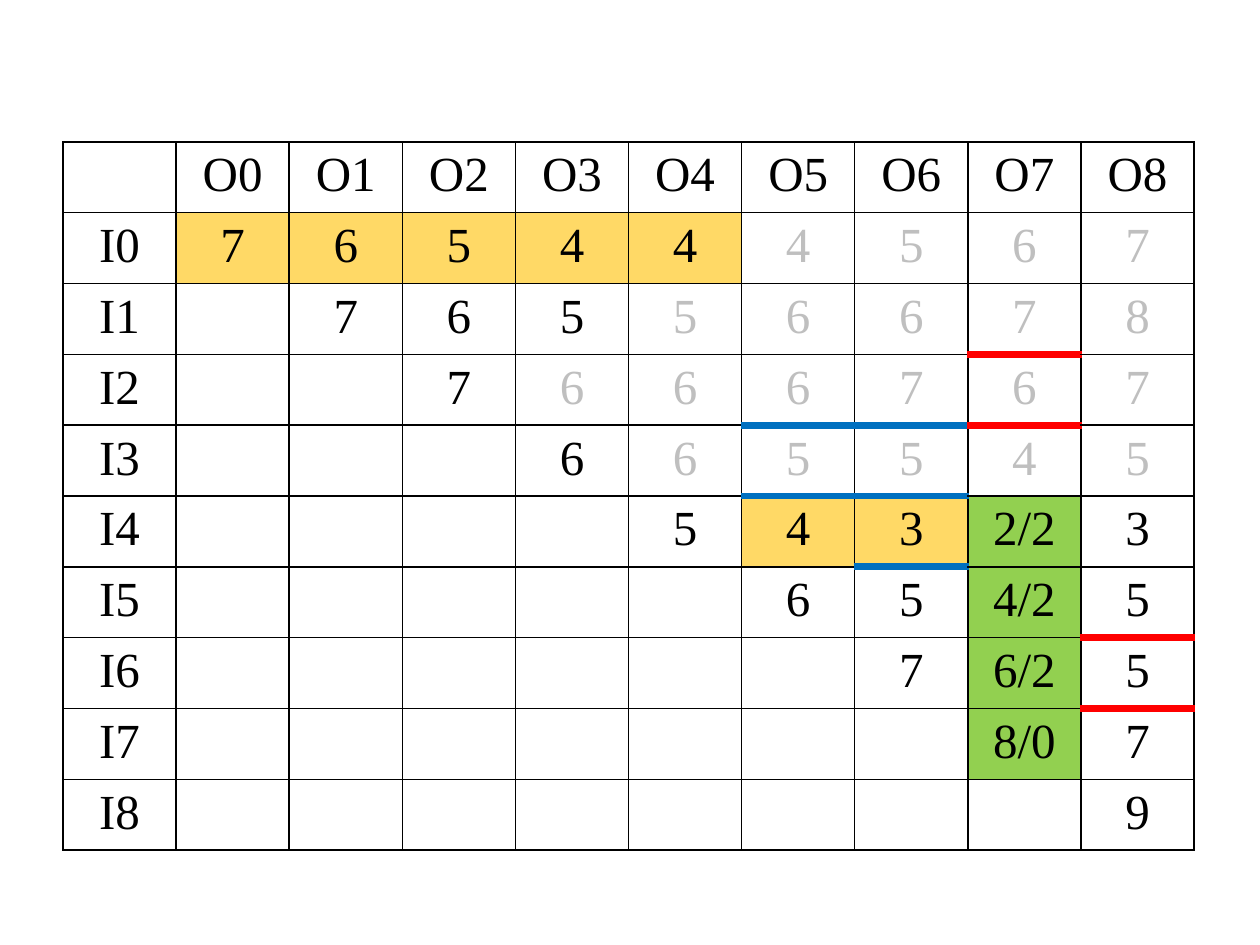
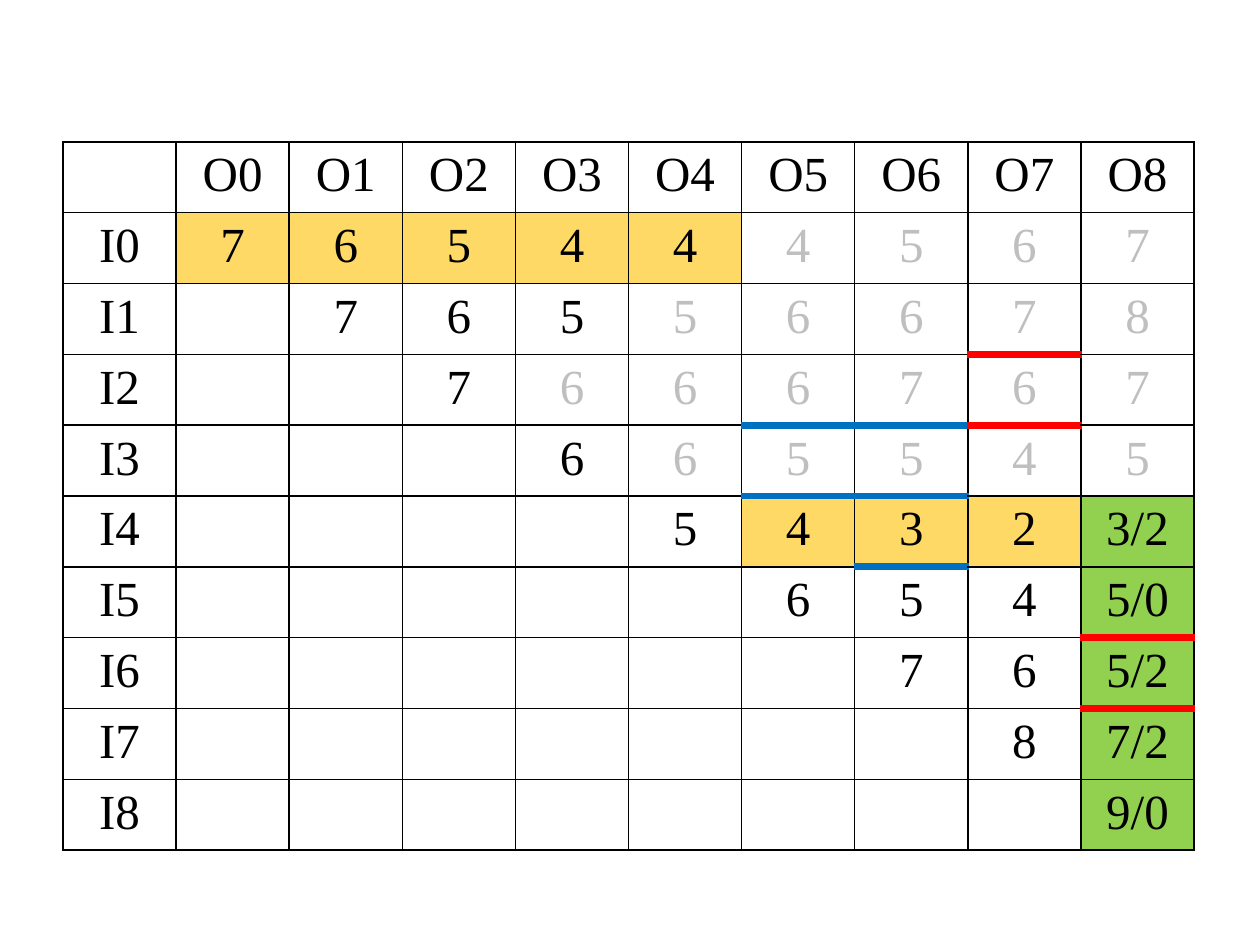
import pptx
import pptx.dml.color
import pptx.enum.text
import pptx.oxml
import pptx.oxml.ns
import pptx.util

COLORS = {
    "text": "000000", "pruned": "BFBFBF", "grid": "000000",
    "chosen": "FFD966", "current": "92D050", "blue": "0070C0", "red": "FF0000",
}
FONT = {"name": "Times New Roman", "size": pptx.util.Pt(28), "bold": False}
LINE_WIDTHS = {"grid": 1, "blue": 4.5, "red": 4.5}

# Each row of costs starts on the diagonal: row I2 begins in column O2.
COSTS = ["765444567", "76556678", "7666767", "665545", "54323", "6545", "765", "87", "9"]
COUNT = len(COSTS)
FIRST_PRUNED = [5, 4, 3, 4] + [COUNT] * 5
# Heavy line under the cell at (row, column)
HEAVY_LINES = {
    (1, 7): "red", (2, 5): "blue", (2, 6): "blue", (2, 7): "red", (3, 5): "blue",
    (3, 6): "blue", (4, 6): "blue", (5, 8): "red", (6, 8): "red",
}
BRANCH_ROW = 4  # the chosen path moves from I0 to I4 after column O4
# Column being evaluated and the second figures shown from the branch row down
STEPS = [(7, "2220"), (8, "20220")]


def set_borders(cell, lines):
    properties = cell._tc.get_or_add_tcPr()
    for side, line in lines.items():
        width = pptx.util.Pt(LINE_WIDTHS[line])
        properties.append(pptx.oxml.parse_xml(
            f'<a:ln{side} {pptx.oxml.ns.nsdecls("a")} w="{width}"><a:solidFill>'
            f'<a:srgbClr val="{COLORS[line]}"/></a:solidFill></a:ln{side}>'))


def write(cell, text, color):
    paragraph = cell.text_frame.paragraphs[0]
    paragraph.alignment = pptx.enum.text.PP_ALIGN.CENTER
    span = paragraph.add_run()
    span.text = text
    for name, value in FONT.items():
        setattr(span.font, name, value)
    span.font.color.rgb = pptx.dml.color.RGBColor.from_string(COLORS[color])


deck = pptx.Presentation()
deck.slide_width = pptx.util.Inches(10)
deck.slide_height = pptx.util.Inches(7.5)
left, width = int(deck.slide_width * 0.05), int(deck.slide_width * 0.9)
top, height = int(deck.slide_height * 0.15), int(deck.slide_height * 0.75)

for current, extras in STEPS:
    page = deck.slides.add_slide(deck.slide_layouts[6])
    table = page.shapes.add_table(COUNT + 1, COUNT + 1, left, top, width, height).table
    table.first_row = table.horz_banding = False
    for column in table.columns:
        column.width = pptx.util.Inches(8.98 / (COUNT + 1))

    # Row and column -1 hold the headings.
    for row in range(-1, COUNT):
        for column in range(-1, COUNT):
            cell = table.cell(row + 1, column + 1)
            set_borders(cell, {
                "L": "grid", "R": "grid",
                "T": HEAVY_LINES.get((row - 1, column), "grid"),
                "B": HEAVY_LINES.get((row, column), "grid"),
            })

            text, color, fill = "", "text", None
            if row < 0 <= column:
                text = f"O{column}"
            elif column < 0 <= row:
                text = f"I{row}"
            elif 0 <= row <= column:
                text = COSTS[row][column - row]
                if column >= FIRST_PRUNED[row]:
                    color = "pruned"
                if column == current and row >= BRANCH_ROW:
                    text += f"/{extras[row - BRANCH_ROW]}"
                    fill = "current"
                elif (row == 0 and column <= BRANCH_ROW
                      or row == BRANCH_ROW < column < current):
                    fill = "chosen"

            if fill:
                cell.fill.solid()
                cell.fill.fore_color.rgb = pptx.dml.color.RGBColor.from_string(COLORS[fill])
            else:
                cell.fill.background()
            if text:
                write(cell, text, color)

deck.save("out.pptx")
